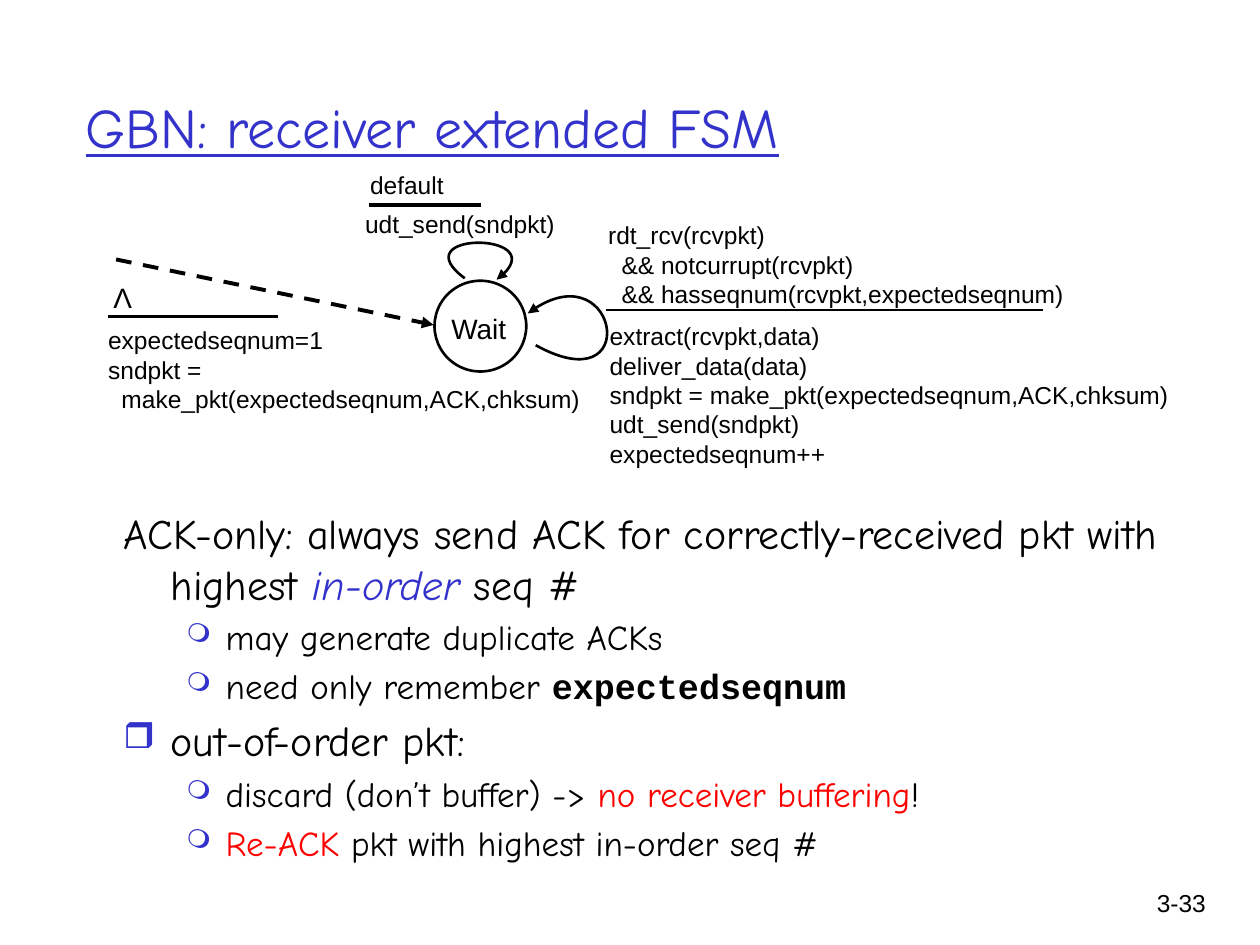
from dataclasses import dataclass
from typing import Optional

from lxml.etree import SubElement
from pptx import Presentation
from pptx.dml.color import RGBColor
from pptx.enum.dml import MSO_LINE
from pptx.enum.shapes import MSO_CONNECTOR, MSO_SHAPE
from pptx.enum.text import MSO_ANCHOR, PP_ALIGN
from pptx.oxml.ns import qn
from pptx.util import Cm, Pt

COLORS = {"ink": "000000", "accent": "3333CC", "alert": "FF0000", "paper": "FFFFFF"}
BODY_FONT = "Comic Neue"
LABEL_FONT = "Arial"
CODE_FONT = "Courier New"


@dataclass
class Label:
    left: float
    top: float
    width: float
    height: float
    lines: list[str]
    size: int = 14
    align: PP_ALIGN = PP_ALIGN.LEFT
    indented: tuple[int, ...] = ()
    wrap: bool = True


@dataclass
class Rule:
    start: tuple[float, float]
    end: tuple[float, float]
    weight: float = 2.25
    dashed_arrow: bool = False


@dataclass
class Loop:
    points: list[tuple[float, float]]


@dataclass
class Span:
    text: str
    color: str = "ink"
    font: str = BODY_FONT
    bold: bool = False
    italic: bool = False


@dataclass
class Level:
    size: int
    margin: float
    hanging: float
    bullet: str
    bullet_percent: int


@dataclass
class Item:
    level: Level
    spans: list[Span]
    bulleted: bool = True


POINT = Level(24, 0.95, 0.95, "❒", 85)
DETAIL = Level(20, 2.06, 0.79, "❍", 75)

LABELS = [
    Label(22.68, 17.78, 1.88, 1.27, ["3-33"], align=PP_ALIGN.RIGHT),
    Label(8.53, 6.15, 2.24, 0.66, ["Wait"], 16, PP_ALIGN.CENTER),
    Label(7.11, 4.09, 4.5, 0.86, ["udt_send(sndpkt)"]),
    Label(7.21, 3.3, 2.01, 0.69, ["default"]),
    Label(12.01, 4.32, 9.91, 1.57,
          ["rdt_rcv(rcvpkt)", "&& notcurrupt(rcvpkt)",
           "&& hasseqnum(rcvpkt,expectedseqnum)"], indented=(1, 2)),
    Label(12.04, 6.35, 11.99, 2.39,
          ["extract(rcvpkt,data)", "deliver_data(data)",
           "sndpkt = make_pkt(expectedseqnum,ACK,chksum)",
           "udt_send(sndpkt)", "expectedseqnum++"]),
    Label(1.93, 6.43, 10.11, 2.72,
          ["expectedseqnum=1", "sndpkt =", "make_pkt(expectedseqnum,ACK,chksum)"],
          indented=(2,)),
    Label(2.03, 5.54, 0.89, 0.94, ["Λ"], 16, PP_ALIGN.CENTER, wrap=False),
]

RULES = [
    Rule((2.34, 5.23), (8.74, 6.55), dashed_arrow=True),
    Rule((7.44, 4.14), (9.7, 4.14)),
    Rule((12.22, 6.25), (21.03, 6.25), 1.5),
    Rule((2.18, 6.38), (5.61, 6.38)),
]

LOOPS = [
    Loop([(10.8, 6.96), (12.95, 8.15), (12.45, 4.95), (10.64, 6.32)]),
    Loop([(9.37, 5.61), (8.1, 4.67), (11.3, 4.67), (10.01, 5.64)]),
]

ITEMS = [
    Item(POINT, [Span("ACK-only: always send ACK for correctly-received pkt with highest "),
                 Span("in-order", "accent", italic=True), Span(" seq #")], bulleted=False),
    Item(DETAIL, [Span("may generate duplicate ACKs")]),
    Item(DETAIL, [Span("need only remember "),
                  Span("expectedseqnum", font=CODE_FONT, bold=True)]),
    Item(POINT, [Span("out-of-order pkt:")]),
    Item(DETAIL, [Span("discard (don’t buffer) -> "),
                  Span("no receiver buffering", "alert"), Span("!")]),
    Item(DETAIL, [Span("Re-ACK ", "alert"), Span("pkt with highest in-order seq #")]),
]


def rgb(name: str) -> RGBColor:
    return RGBColor.from_string(COLORS[name])


def style_font(font, name: str, size: int, color: str = "ink") -> None:
    font.name = name
    font.size = Pt(size)
    font.color.rgb = rgb(color)


def style_line(shape, weight: float, arrow: bool = False) -> None:
    shape.line.color.rgb = rgb("ink")
    shape.line.width = Pt(weight)
    if arrow:
        SubElement(shape.line._get_or_add_ln(), qn("a:tailEnd"), type="triangle")


def draw_label(page, label: Label) -> None:
    box = page.shapes.add_textbox(Cm(label.left), Cm(label.top),
                                  Cm(label.width), Cm(label.height))
    frame = box.text_frame
    frame.text = "\n".join(label.lines)
    frame.word_wrap = label.wrap
    for index, para in enumerate(frame.paragraphs):
        para.alignment = label.align
        if index in label.indented:
            para._p.get_or_add_pPr().set("marL", str(Cm(0.27)))
        style_font(para.runs[0].font, LABEL_FONT, label.size)


def draw_rule(page, rule: Rule) -> None:
    ends = [Cm(value) for value in rule.start + rule.end]
    connector = page.shapes.add_connector(MSO_CONNECTOR.STRAIGHT, *ends)
    if rule.dashed_arrow:
        connector.line.dash_style = MSO_LINE.DASH
    style_line(connector, rule.weight, rule.dashed_arrow)
    SubElement(connector._element.spPr, qn("a:effectLst"))


def draw_loop(page, loop: Loop) -> None:
    start, *rest = [(Cm(x), Cm(y)) for x, y in loop.points]
    builder = page.shapes.build_freeform(*start)
    builder.add_line_segments(rest, close=False)
    shape = builder.convert_to_shape()
    segments = list(shape._element.iter(qn("a:lnTo")))
    curve = SubElement(segments[0].getparent(), qn("a:cubicBezTo"))
    for segment in segments:
        curve.append(segment[0])
        segment.getparent().remove(segment)
    shape.fill.background()
    shape.shadow.inherit = False
    style_line(shape, 1.5, arrow=True)


def draw_state(page) -> None:
    state = page.shapes.add_shape(MSO_SHAPE.OVAL, Cm(8.76), Cm(5.66), Cm(1.85), Cm(1.83))
    state.fill.solid()
    state.fill.fore_color.rgb = rgb("paper")
    state.shadow.inherit = False
    style_line(state, 1.5)


def set_bullet(properties, level: Level) -> None:
    color = SubElement(properties, qn("a:buClr"))
    SubElement(color, qn("a:srgbClr"), val=COLORS["accent"])
    SubElement(properties, qn("a:buSzPct"), val=str(level.bullet_percent * 1000))
    SubElement(properties, qn("a:buChar"), char=level.bullet)


def draw_body(page, items: list[Item]) -> None:
    frame = page.shapes.add_textbox(Cm(2.24), Cm(10.11), Cm(22.63), Cm(7.92)).text_frame
    frame.word_wrap = True
    for index, item in enumerate(items):
        para = frame.add_paragraph() if index else frame.paragraphs[0]
        level = item.level
        para.space_before = Pt(level.size * 0.2)
        properties = para._p.get_or_add_pPr()
        properties.set("marL", str(Cm(level.margin)))
        properties.set("indent", str(-Cm(level.hanging)))
        if item.bulleted:
            set_bullet(properties, level)
        for span in item.spans:
            run = para.add_run()
            run.text = span.text
            style_font(run.font, span.font, level.size, span.color)
            run.font.bold = span.bold
            run.font.italic = span.italic


def draw_title(page, text: str) -> None:
    title = page.shapes.title
    title.left, title.top, title.width, title.height = Cm(1.47), Cm(0.64), Cm(21.59), Cm(3.81)
    title.text_frame.text = text
    title.text_frame.vertical_anchor = MSO_ANCHOR.MIDDLE
    para = title.text_frame.paragraphs[0]
    para.alignment = PP_ALIGN.LEFT
    style_font(para.runs[0].font, BODY_FONT, 32, "accent")
    para.runs[0].font.underline = True


deck = Presentation()
deck.slide_width, deck.slide_height = Cm(25.4), Cm(19.05)
page = deck.slides.add_slide(deck.slide_layouts[5])
draw_title(page, "GBN: receiver extended FSM")
draw_body(page, ITEMS)
draw_state(page)
for rule in RULES:
    draw_rule(page, rule)
for loop in LOOPS:
    draw_loop(page, loop)
for label in LABELS:
    draw_label(page, label)
deck.save("out.pptx")
